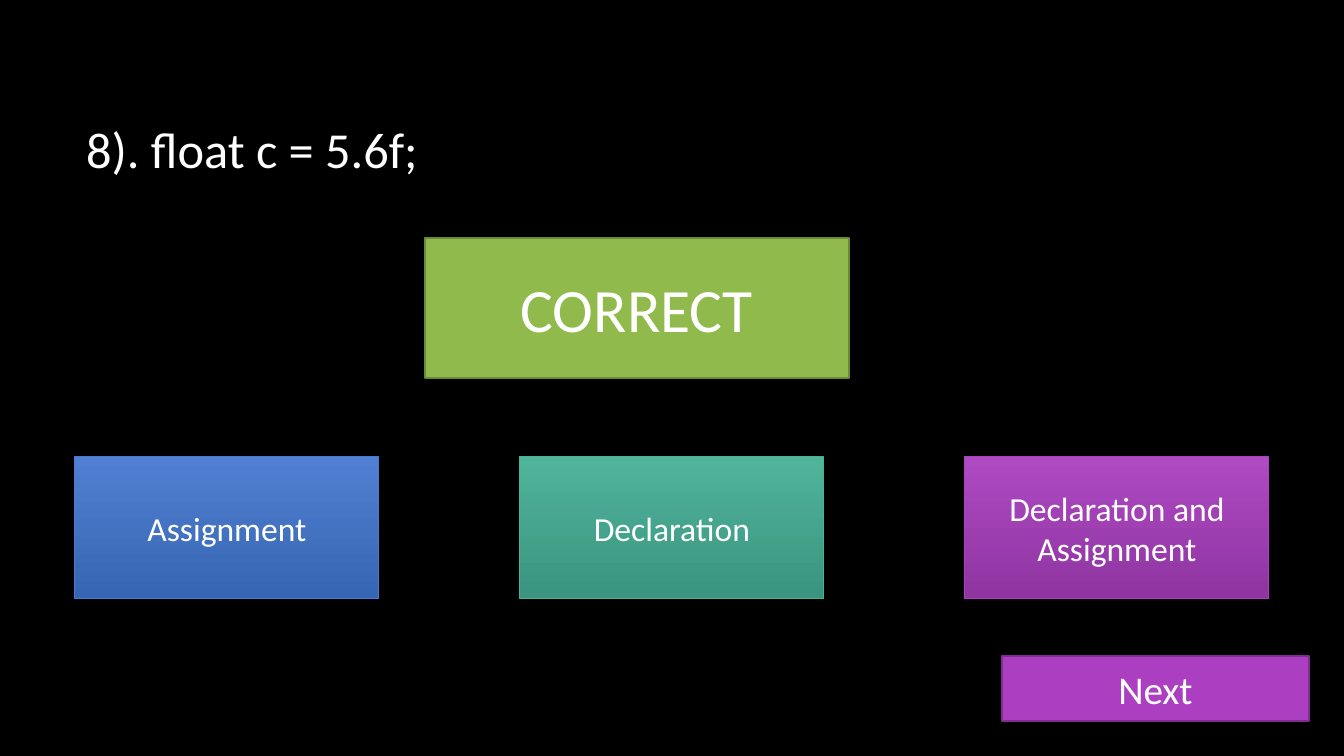
"""Build the quiz slide that marks the answer to question 8 as correct."""
import pptx
import pptx.dml.color
import pptx.enum.shapes
import pptx.enum.text
import pptx.util

PX = 914400 / 100.8
WHITE = "FFFFFF"
ALIGN = pptx.enum.text.PP_ALIGN


def color(code):
    return pptx.dml.color.RGBColor.from_string(code)


def place_text(shape, box, text, size, align):
    for side, length in zip(("left", "top", "width", "height"), box):
        setattr(shape, side, round(length * PX))
    frame = shape.text_frame
    frame.text = text
    frame.word_wrap = True
    frame.vertical_anchor = pptx.enum.text.MSO_ANCHOR.MIDDLE
    frame.paragraphs[0].alignment = align
    font = frame.paragraphs[0].runs[0].font
    for name, value in {"name": "Calibri", "size": pptx.util.Pt(size), "bold": False}.items():
        setattr(font, name, value)
    font.color.rgb = color(WHITE)


deck = pptx.Presentation()
deck.slide_width = round(1344 * PX)
deck.slide_height = round(756 * PX)
slide = deck.slides.add_slide(deck.slide_layouts[5])
slide.background.fill.solid()
slide.background.fill.fore_color.rgb = color("000000")

place_text(slide.shapes.title, (76, 68, 1117, 160), "8). float c = 5.6f;", 36, ALIGN.LEFT)

ANSWER_LEFT, ANSWER_STEP = 75, 445
answers = [
    ("Assignment", ("5180D2", "3665B3"), "477BD1"),
    ("Declaration", ("50B49B", "3A947F"), "46B298"),
    ("Declaration and Assignment", ("AE4AC2", "8F34A1"), "AC3EC1"),
]
buttons = [
    ((ANSWER_LEFT + ANSWER_STEP * column, 457, 304, 142), text, 24, shades, edge, 0.75)
    for column, (text, shades, edge) in enumerate(answers)
]
buttons += [
    ((425, 238, 424, 140), "CORRECT", 44, ("90BA4C",), "6B8A38", 1.5),
    ((1002, 656, 307, 65), "Next", 28, ("AC3EC1",), "7F2E8F", 1.5),
]

for box, text, size, shades, edge, edge_width in buttons:
    button = slide.shapes.add_shape(pptx.enum.shapes.MSO_SHAPE.RECTANGLE, 0, 0, 0, 0)
    place_text(button, box, text, size, ALIGN.CENTER)
    button.shadow.inherit = False
    if len(shades) == 2:
        button.fill.gradient()
        button.fill.gradient_angle = 270
        for stop, shade in zip(button.fill.gradient_stops, shades):
            stop.color.rgb = color(shade)
    else:
        button.fill.solid()
        button.fill.fore_color.rgb = color(shades[0])
    button.line.color.rgb = color(edge)
    button.line.width = pptx.util.Pt(edge_width)

deck.save("out.pptx")
